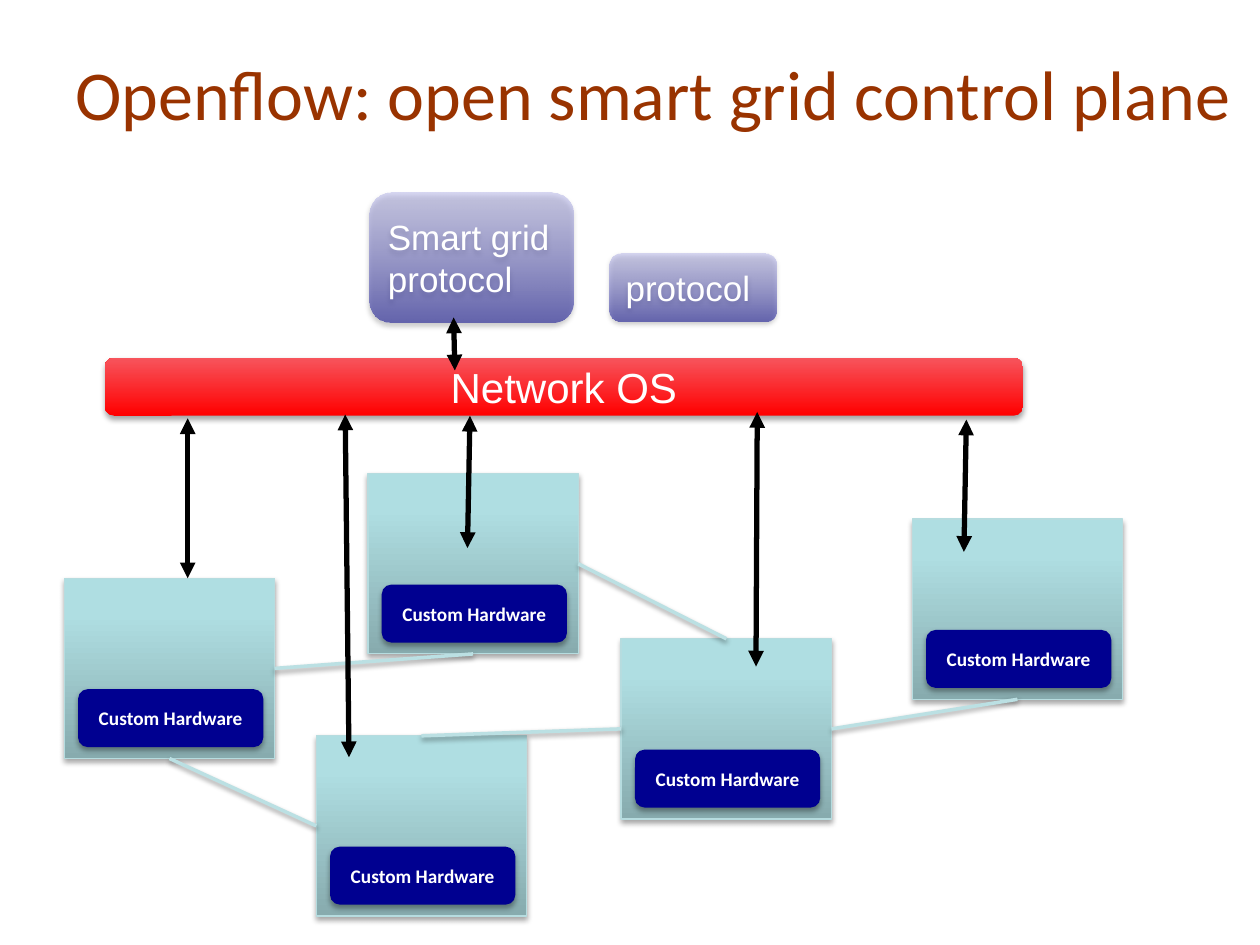
from lxml import etree
from pptx import Presentation
from pptx.dml.color import RGBColor
from pptx.enum.shapes import MSO_CONNECTOR, MSO_SHAPE
from pptx.enum.text import MSO_ANCHOR, PP_ALIGN
from pptx.oxml import parse_xml
from pptx.oxml.ns import qn
from pptx.util import Inches, Pt

RECT, ROUNDED = MSO_SHAPE.RECTANGLE, MSO_SHAPE.ROUNDED_RECTANGLE
STRAIGHT = MSO_CONNECTOR.STRAIGHT
MIDDLE = MSO_ANCHOR.MIDDLE
LEFT, CENTER = PP_ALIGN.LEFT, PP_ALIGN.CENTER
A_NS = 'xmlns:a="http://schemas.openxmlformats.org/drawingml/2006/main"'

# Connection sites of a rectangle
TOP, LEFT_SIDE, BOTTOM, RIGHT_SIDE = range(4)

# Gradient stops from bottom to top: position %, colour, opacity %
SWITCH_STOPS = [(0, "87ABAE", 100), (80, "AFDEE2", 100), (100, "AFE0E4", 100)]
OS_STOPS = [(0, "FF0000", 100), (100, "F7545C", 100)]
PROTOCOL_STOPS = [(0, "1F1F98", 60), (100, "A9A9E5", 45)]

SWITCHES = {
    "west": (0.51, 4.59),
    "north": (2.92, 3.76),
    "east": (7.24, 4.12),
    "south": (2.51, 5.84),
    "centre": (4.93, 5.07),
}
LINKS = [
    ("west", RIGHT_SIDE, "north", BOTTOM),
    ("north", RIGHT_SIDE, "centre", TOP),
    ("south", TOP, "centre", LEFT_SIDE),
    ("west", BOTTOM, "south", LEFT_SIDE),
    ("centre", RIGHT_SIDE, "east", BOTTOM),
]
CONTROL_ARROWS = [
    (3.73, 3.3, 3.71, 4.35),
    (2.74, 3.29, 2.77, 6.01),
    (6.01, 3.27, 6, 5.29),
    (7.67, 3.33, 7.65, 4.38),
    (1.49, 3.32, 1.49, 4.59),
    (3.6, 2.52, 3.61, 2.94),
]


def color(hex_code):
    return RGBColor.from_string(hex_code)


def add_shadow(s, opacity=35, distance=1.8):
    s._element.spPr.append(parse_xml(
        f'<a:effectLst {A_NS}><a:outerShdw blurRad="{Pt(3.1)}" dist="{Pt(distance)}" '
        f'dir="5400000" rotWithShape="0"><a:srgbClr val="000000">'
        f'<a:alpha val="{opacity * 1000}"/></a:srgbClr></a:outerShdw></a:effectLst>'))


def fill_gradient(s, stops):
    """Fill from bottom to top, with an opacity for each stop."""
    s.fill.background()
    gs = "".join(
        f'<a:gs pos="{pos * 1000}"><a:srgbClr val="{code}">'
        f'<a:alpha val="{opacity * 1000}"/></a:srgbClr></a:gs>'
        for pos, code, opacity in stops)
    spPr = s._element.spPr
    spPr.replace(spPr.find(qn("a:noFill")), parse_xml(
        f'<a:gradFill {A_NS} rotWithShape="1"><a:gsLst>{gs}</a:gsLst>'
        f'<a:lin ang="16200000" scaled="0"/></a:gradFill>'))


def add_box(slide, kind, x, y, w, h, fill, line=None):
    s = slide.shapes.add_shape(kind, Inches(x), Inches(y), Inches(w), Inches(h))
    if isinstance(fill, str):
        s.fill.solid()
        s.fill.fore_color.rgb = color(fill)
    else:
        fill_gradient(s, fill)
    if line:
        s.line.color.rgb = color(line)
        s.line.width = Pt(0.75)
    else:
        s.line.fill.background()
    add_shadow(s)
    return s


def write(s, text, size, font, hex_code, align=LEFT, bold=False):
    tf = s.text_frame
    tf.word_wrap = True
    tf.vertical_anchor = MIDDLE
    p = tf.paragraphs[0]
    p.alignment = align
    r = p.add_run()
    r.text = text
    r.font.size = Pt(size)
    r.font.name = font
    r.font.bold = bold
    r.font.color.rgb = color(hex_code)


def add_title(slide, x, y, w, h):
    s = slide.shapes.title
    s.left, s.top, s.width, s.height = Inches(x), Inches(y), Inches(w), Inches(h)
    write(s, "Openflow: open smart grid control plane", 40, "Calibri", "993300")


def add_switch(slide, x, y):
    body = add_box(slide, RECT, x, y, 1.67, 1.43, SWITCH_STOPS, "B6DCDF")
    label = add_box(slide, ROUNDED, x + 0.11, y + 0.88, 1.47, 0.46, "000090")
    write(label, "Custom Hardware", 11, "Calibri", "FFFFFF", CENTER, True)
    return body


def add_line(slide, x1, y1, x2, y2, hex_code, width):
    c = slide.shapes.add_connector(
        STRAIGHT, Inches(x1), Inches(y1), Inches(x2), Inches(y2))
    c.line.color.rgb = color(hex_code)
    c.line.width = Pt(width)
    return c


def add_network(slide):
    bodies = {name: add_switch(slide, x, y) for name, (x, y) in SWITCHES.items()}
    for start, start_site, end, end_site in LINKS:
        c = add_line(slide, 0, 0, 1, 1, "BBE0E3", 2)
        c.begin_connect(bodies[start], start_site)
        c.end_connect(bodies[end], end_site)
        add_shadow(c, 38, 1.6)


def add_network_os(slide, x, y, w, h):
    s = add_box(slide, ROUNDED, x, y, w, h, OS_STOPS)
    write(s, "Network OS", 24, "Arial", "FFFFFF", CENTER)


def add_protocol(slide, text, x, y, w, h):
    s = add_box(slide, ROUNDED, x, y, w, h, PROTOCOL_STOPS)
    write(s, text, 20, "Arial", "FFFFFF")


def add_control_arrow(slide, x1, y1, x2, y2):
    c = add_line(slide, x1, y1, x2, y2, "000000", 3)
    ln = c.line._get_or_add_ln()
    for end in ("a:headEnd", "a:tailEnd"):
        etree.SubElement(ln, qn(end), type="triangle")
    etree.SubElement(c._element.spPr, qn("a:effectLst"))


def main():
    prs = Presentation()
    prs.slide_width, prs.slide_height = Inches(10), Inches(7.5)
    slide = prs.slides.add_slide(prs.slide_layouts[5])
    add_title(slide, 0.5, 0.11, 9.5, 1.25)
    add_network(slide)
    add_network_os(slide, 0.83, 2.84, 7.29, 0.46)
    add_protocol(slide, "Smart grid protocol", 2.93, 1.53, 1.62, 1.03)
    add_protocol(slide, "protocol", 4.84, 2.01, 1.32, 0.54)
    for ends in CONTROL_ARROWS:
        add_control_arrow(slide, *ends)
    prs.save("out.pptx")


if __name__ == "__main__":
    main()
